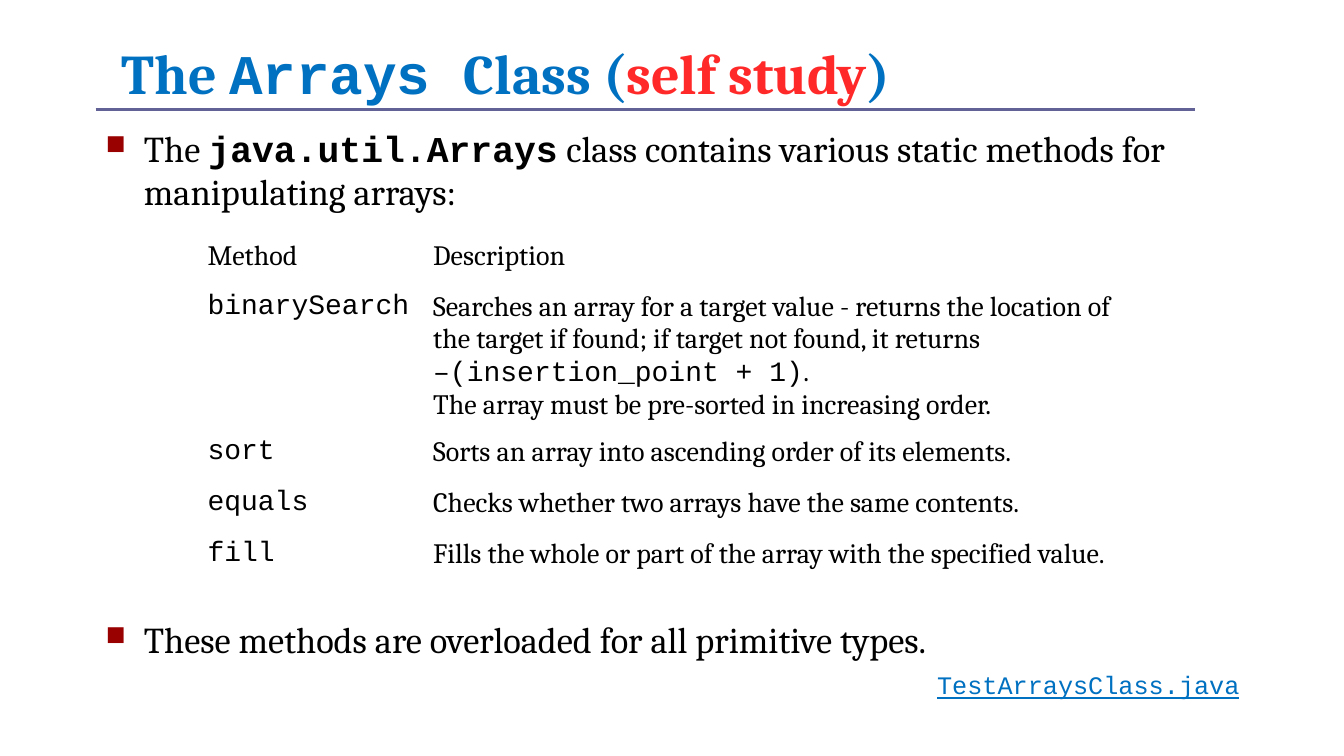
import dataclasses

import lxml.etree
import pptx
import pptx.dml.color
import pptx.enum.shapes
import pptx.enum.text
import pptx.oxml.ns
import pptx.util

Inches = pptx.util.Inches
Align = pptx.enum.text.PP_ALIGN
Anchor = pptx.enum.text.MSO_ANCHOR


@dataclasses.dataclass(frozen=True)
class Theme:
    serif: str = "Cambria"
    mono: str = "Courier New"
    title_size: int = 40
    body_size: int = 26
    table_size: int = 20
    link_size: int = 18
    blue: str = "0070C0"
    red: str = "FF2929"
    black: str = "000000"
    bullet: str = "990000"
    rule: str = "626297"


class SlideBuilder:
    """Adds styled elements to one slide."""

    def __init__(self, page, theme):
        self.page = page
        self.theme = theme

    def style(self, font, name=None, size=None, color=None, bold=None):
        if name:
            font.name = name
        if size:
            font.size = pptx.util.Pt(size)
        if color:
            font.color.rgb = pptx.dml.color.RGBColor.from_string(color)
        if bold:
            font.bold = True

    def add_spans(self, para, spans, size, color, name=None):
        self.style(para.font, name or self.theme.serif, size, color)
        for text, changes in spans:
            span = para.add_run()
            span.text = text
            self.style(span.font, **changes)

    def text_box(self, left, top, width, height, anchor=Anchor.TOP):
        box = self.page.shapes.add_textbox(*map(Inches, (left, top, width, height)))
        frame = box.text_frame
        frame.word_wrap = True
        frame.vertical_anchor = anchor
        return frame

    def bullet(self, para, spans):
        props = para._p.get_or_add_pPr()
        props.set("marL", str(Inches(0.38)))
        props.set("indent", str(Inches(-0.38)))
        qn = pptx.oxml.ns.qn
        color = lxml.etree.SubElement(props, qn("a:buClr"))
        lxml.etree.SubElement(color, qn("a:srgbClr"), val=self.theme.bullet)
        lxml.etree.SubElement(props, qn("a:buSzPct"), val="75000")
        lxml.etree.SubElement(props, qn("a:buChar"), char="■")
        self.add_spans(para, spans, self.theme.body_size, self.theme.black)

    def line(self, start, end, color, width):
        line = self.page.shapes.add_connector(
            pptx.enum.shapes.MSO_CONNECTOR.STRAIGHT, *map(Inches, start + end))
        line.line.color.rgb = pptx.dml.color.RGBColor.from_string(color)
        line.line.width = pptx.util.Pt(width)
        lxml.etree.SubElement(line._element.spPr, pptx.oxml.ns.qn("a:effectLst"))

    def table(self, left, top, widths, heights, rows):
        area = map(Inches, (left, top, sum(widths), sum(heights)))
        table = self.page.shapes.add_table(len(rows), len(widths), *area).table
        table.first_row = table.horz_banding = False
        for column, width in zip(table.columns, widths):
            column.width = Inches(width)
        for row, height, contents in zip(table.rows, heights, rows):
            row.height = Inches(height)
            for cell, paragraphs in zip(row.cells, contents):
                cell.fill.background()
                frame = cell.text_frame
                for index, spans in enumerate(paragraphs):
                    para = frame.add_paragraph() if index else frame.paragraphs[0]
                    self.add_spans(para, spans, self.theme.table_size, self.theme.black)


def main():
    theme = Theme()
    deck = pptx.Presentation()
    deck.slide_width, deck.slide_height = Inches(13.34), Inches(7.5)
    builder = SlideBuilder(deck.slides.add_slide(deck.slide_layouts[6]), theme)
    mono = {"name": theme.mono}

    title = builder.text_box(1.11, 0.31, 9.89, 0.78, Anchor.BOTTOM).paragraphs[0]
    title.line_spacing = 0.8
    title.font.bold = True
    builder.add_spans(title, [("The ", {}), ("Arrays ", mono), ("Class (", {}),
                              ("self study", {"color": theme.red}), (")", {})],
                      theme.title_size, theme.blue)

    intro = builder.text_box(0.95, 1.2, 11.45, 1)
    builder.bullet(intro.paragraphs[0], [
        ("The ", {}), ("java.util.Arrays", {**mono, "bold": True}),
        (" class contains various static methods for manipulating arrays:", {})])

    search = [
        [("Searches an array for a target value - returns the location of the target "
          "if found; if target not found, it returns", {})],
        [("–(insertion_point + 1)", mono), (".", {})],
        [("The array must be pre-sorted in increasing order.", {})],
    ]
    methods = [
        ("binarySearch", search),
        ("sort", [[("Sorts an array into ascending order of its elements.", {})]]),
        ("equals", [[("Checks whether two arrays have the same contents.", {})]]),
        ("fill", [[("Fills the whole or part of the array with the specified value.", {})]]),
    ]
    header = ([[("Method", {})]], [[("Description", {})]])
    rows = [header] + [([[(method, mono)]], text) for method, text in methods]
    builder.table(1.96, 2.33, (2.24, 7.22), (0.51, 1.43, 0.51, 0.51, 0.51), rows)

    closing = builder.text_box(0.95, 6.07, 11.45, 1)
    builder.bullet(closing.paragraphs[0],
                   [("These methods are overloaded for all primitive types.", {})])
    link = closing.add_paragraph()
    link.alignment = Align.RIGHT
    link.space_before = pptx.util.Pt(6)
    link.font.underline = True
    builder.add_spans(link, [("TestArraysClass.java", {})],
                      theme.link_size, theme.blue, theme.mono)

    builder.line((0.95, 1.09), (11.86, 1.09), theme.rule, 2.25)
    deck.save("out.pptx")


if __name__ == "__main__":
    main()
